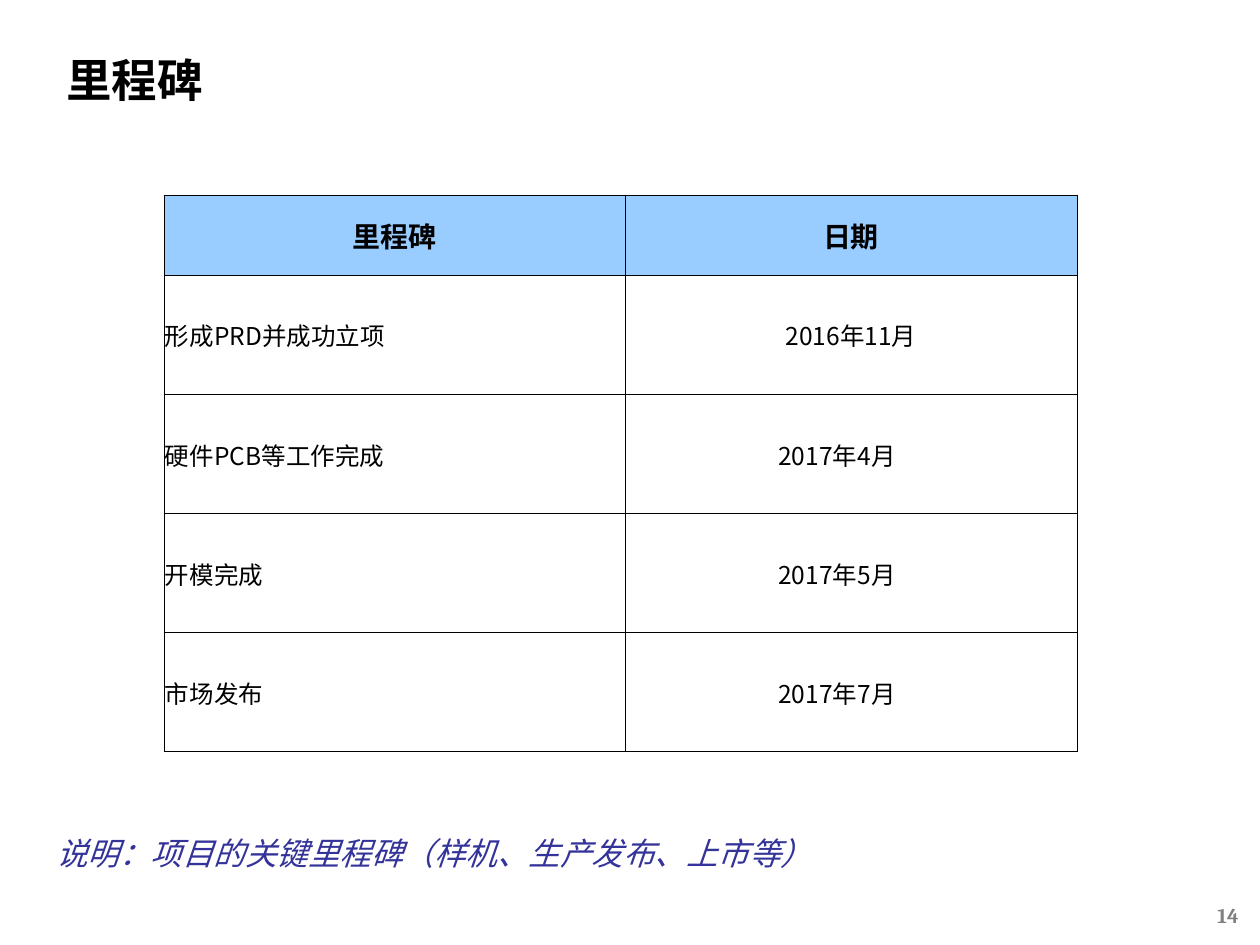
from lxml import etree
from pptx import Presentation
from pptx import util as u
from pptx.dml.color import RGBColor
from pptx.enum import text as t
from pptx.oxml import ns

PX = 914400 / 126
CJK = "Noto Sans CJK SC"
LEFT, MID, RIGHT = t.PP_ALIGN.LEFT, t.PP_ALIGN.CENTER, t.PP_ALIGN.RIGHT
ROWS = [
    ("形成PRD并成功立项", "2016年11月"),
    ("硬件PCB等工作完成", "2017年4月"),
    ("开模完成", "2017年5月"),
    ("市场发布", "2017年7月"),
]


def px(n):
    return u.Emu(round(n * PX))


def paint(color, code):
    color.rgb = RGBColor.from_string(code)


def write(para, words, size, code="000000", face=CJK, bold=False,
          slant=False, align=LEFT):
    para.alignment = align
    run = para.add_run()
    run.text = words
    font = run.font
    font.size, font.name = u.Pt(size), face
    font.bold, font.italic = bold, slant
    paint(font.color, code)
    east = etree.SubElement(run._r.get_or_add_rPr(), ns.qn("a:ea"))
    east.set("typeface", CJK)


def label(slide, box, words, size, **style):
    frame = slide.shapes.add_textbox(*map(px, box)).text_frame
    frame.word_wrap = True
    frame.vertical_anchor = t.MSO_ANCHOR.MIDDLE
    write(frame.paragraphs[0], words, size, **style)


def edge(cell, code="000000", width=0.5):
    """Draw a thin line on all four sides of a cell."""
    props = cell._tc.get_or_add_tcPr()
    for side in "LRTB":
        line = etree.SubElement(props, ns.qn("a:ln" + side), w=str(u.Pt(width)))
        fill = etree.SubElement(line, ns.qn("a:solidFill"))
        etree.SubElement(fill, ns.qn("a:srgbClr"), val=code)


def fill_cell(cell, words, size, bold=False, align=LEFT, inset=1, back=None):
    cell.margin_left = cell.margin_top = px(1)
    cell.margin_right, cell.margin_bottom = px(inset), 0
    cell.vertical_anchor = t.MSO_ANCHOR.MIDDLE
    edge(cell)
    if back:
        cell.fill.solid()
        paint(cell.fill.fore_color, back)
    else:
        cell.fill.background()
    write(cell.text_frame.paragraphs[0], words, size, bold=bold, align=align)


def dates(slide, box, first=461, head=80):
    """Place the milestone table: a header row, then equal rows."""
    x, y, w, h = box
    grid = slide.shapes.add_table(len(ROWS) + 1, 2, *map(px, box)).table
    for col, wide in zip(grid.columns, (first, w - first)):
        col.width = px(wide)
    for i, row in enumerate(grid.rows):
        row.height = px((h - head) / len(ROWS) if i else head)
    for c, name in enumerate(("里程碑", "日期")):
        fill_cell(grid.cell(0, c), name, 16, bold=True, align=MID, back="99CCFF")
    for r, (stage, date) in enumerate(ROWS, 1):
        fill_cell(grid.cell(r, 0), stage, 14)
        fill_cell(grid.cell(r, 1), date, 14, align=MID, inset=1 if r == 1 else 29)


def main():
    deck = Presentation()
    deck.slide_width, deck.slide_height = px(1260), px(945)
    slide = deck.slides.add_slide(deck.slide_layouts[6])
    label(slide, (54, 45, 942, 69), "里程碑", 26, face="Arial", bold=True)
    label(slide, (958, 890, 293, 50), "14", 12, code="808080",
          face="Cambria", bold=True, align=RIGHT)
    label(slide, (44, 828, 1171, 50),
          "说明：项目的关键里程碑（样机、生产发布、上市等）", 18,
          code="333399", face="Arial", slant=True)
    dates(slide, (164, 195, 913, 557))
    deck.save("out.pptx")


if __name__ == "__main__":
    main()
